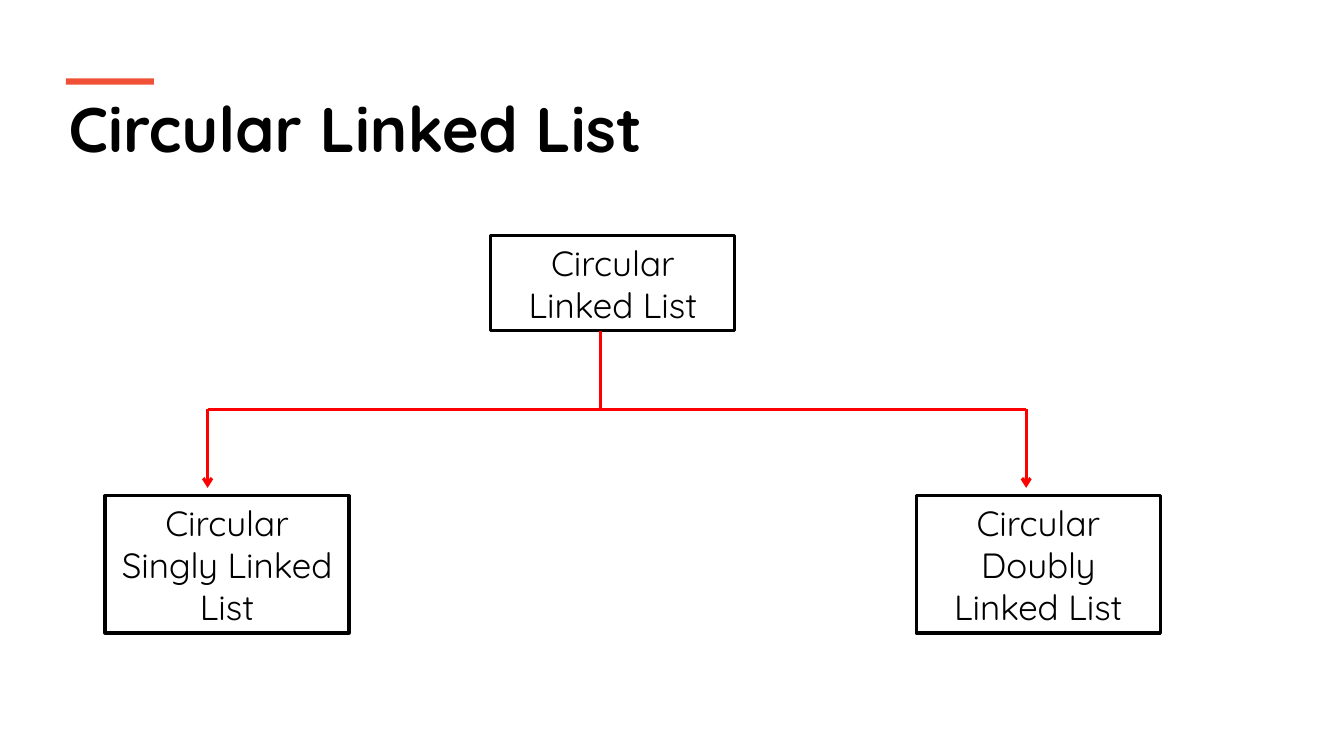
"""Build a slide that shows the two kinds of circular linked list."""
from dataclasses import dataclass

from lxml.etree import SubElement
from pptx import Presentation
from pptx.dml.color import RGBColor
from pptx.enum.shapes import MSO_CONNECTOR, MSO_SHAPE
from pptx.enum.text import MSO_ANCHOR, MSO_AUTO_SIZE, PP_ALIGN
from pptx.oxml.ns import qn
from pptx.slide import Slide
from pptx.text.text import TextFrame
from pptx.util import Pt

FONT = "Quicksand"
BLACK = "000000"
RED = "FF0000"
ACCENT = "F05136"
LINE_WIDTH = 2.25
NODE_WIDTH = 174.4
STEM_X, LEFT_X, RIGHT_X = 429.1, 148.3, 733
ROOT_BOTTOM, BRANCH_Y, ARROW_Y = 236.2, 292.3, 348.5


@dataclass(frozen=True)
class Node:
    label: str
    left: float
    top: float
    height: float


@dataclass(frozen=True)
class Link:
    x1: float
    y1: float
    x2: float
    y2: float
    arrow: bool = False


NODES = (
    Node("Circular Linked List", 350.6, 168.5, 67.7),
    Node("Circular Singly Linked List", 75, 354.2, 98),
    Node("Circular Doubly Linked List", 654.5, 354.2, 98),
)
LINKS = (
    Link(STEM_X, ROOT_BOTTOM, STEM_X, BRANCH_Y),
    Link(LEFT_X, BRANCH_Y, RIGHT_X, BRANCH_Y),
    *(Link(x, BRANCH_Y, x, ARROW_Y, arrow=True) for x in (LEFT_X, RIGHT_X)),
)


def color(value: str) -> RGBColor:
    return RGBColor.from_string(value)


def write(frame: TextFrame, text: str, size: float, align: PP_ALIGN,
          anchor: MSO_ANCHOR, bold: bool = False) -> None:
    frame.text = text
    frame.word_wrap = True
    frame.auto_size = MSO_AUTO_SIZE.NONE
    frame.vertical_anchor = anchor
    paragraph = frame.paragraphs[0]
    paragraph.alignment = align
    paragraph.line_spacing = 1.0
    paragraph.space_before = Pt(0)
    font = paragraph.runs[0].font
    font.name, font.size, font.bold = FONT, Pt(size), bold
    font.color.rgb = color(BLACK)


def draw_heading(slide: Slide) -> None:
    title = slide.shapes.title
    title.left, title.top = Pt(41.8), Pt(60.5)
    title.width, title.height = Pt(877), Pt(62)
    write(title.text_frame, "Circular Linked List", 45, PP_ALIGN.LEFT,
          MSO_ANCHOR.TOP, bold=True)
    accent = slide.shapes.add_shape(
        MSO_SHAPE.RECTANGLE, Pt(47), Pt(56), Pt(63), Pt(4.4))
    accent.shadow.inherit = False
    accent.fill.solid()
    accent.fill.fore_color.rgb = color(ACCENT)
    accent.line.fill.background()


def draw_node(slide: Slide, node: Node) -> None:
    box = slide.shapes.add_shape(
        MSO_SHAPE.RECTANGLE, Pt(node.left), Pt(node.top),
        Pt(NODE_WIDTH), Pt(node.height))
    box.shadow.inherit = False
    box.fill.background()
    box.line.color.rgb = color(BLACK)
    box.line.width = Pt(LINE_WIDTH)
    frame = box.text_frame
    frame.margin_left = frame.margin_right = Pt(8)
    write(frame, node.label, 25, PP_ALIGN.CENTER, MSO_ANCHOR.MIDDLE)


def draw_link(slide: Slide, link: Link) -> None:
    connector = slide.shapes.add_connector(
        MSO_CONNECTOR.STRAIGHT, Pt(link.x1), Pt(link.y1),
        Pt(link.x2), Pt(link.y2))
    connector.line.color.rgb = color(RED)
    connector.line.width = Pt(LINE_WIDTH)
    if link.arrow:
        SubElement(connector.line._get_or_add_ln(), qn("a:tailEnd"), type="arrow")
    SubElement(connector._element.spPr, qn("a:effectLst"))


def main() -> None:
    presentation = Presentation()
    presentation.slide_width, presentation.slide_height = Pt(960), Pt(540)
    slide = presentation.slides.add_slide(presentation.slide_layouts[5])
    draw_heading(slide)
    for node in NODES:
        draw_node(slide, node)
    for link in LINKS:
        draw_link(slide, link)
    presentation.save("out.pptx")


if __name__ == "__main__":
    main()
